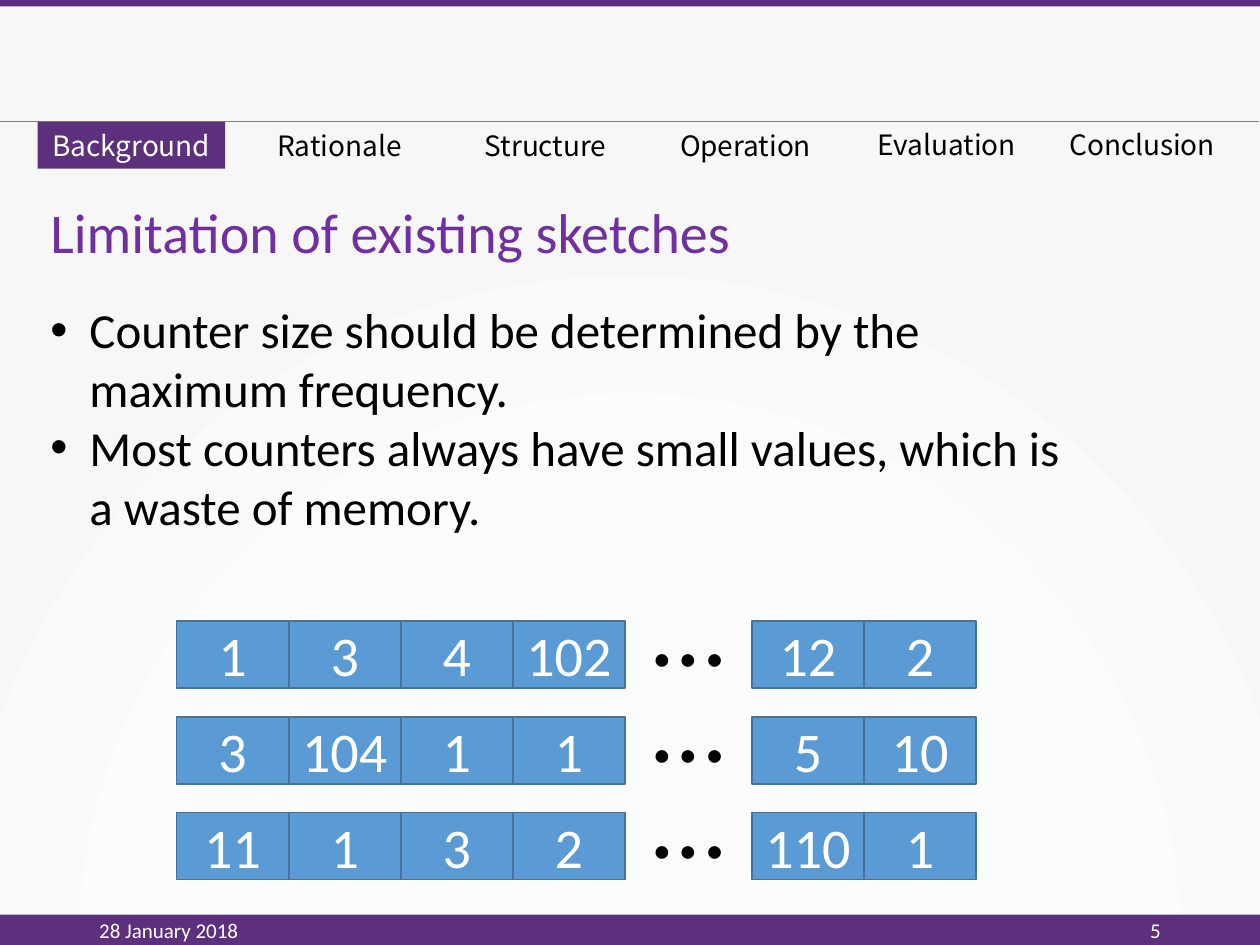
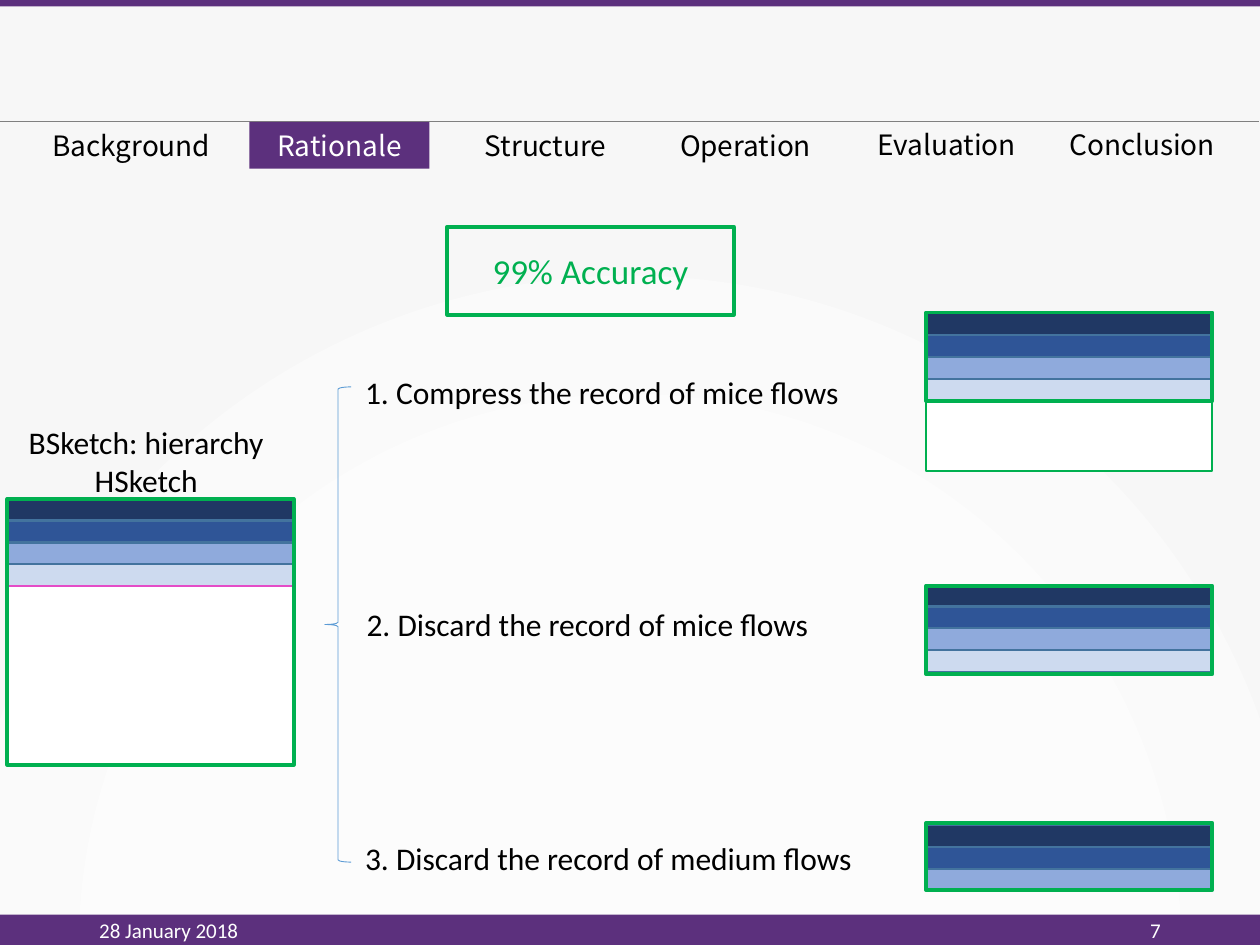
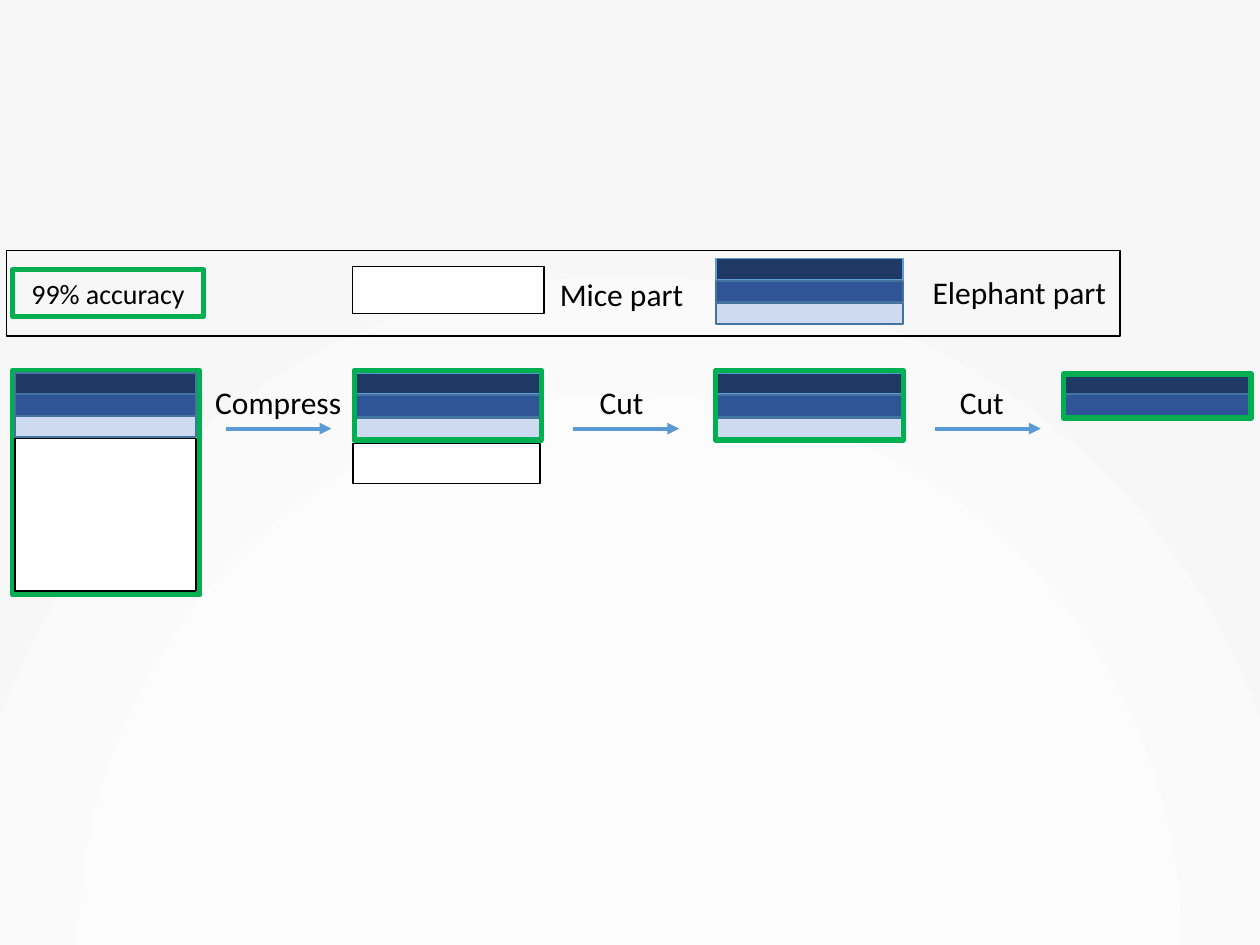
from dataclasses import dataclass
from typing import Optional

import lxml.etree
import pptx
import pptx.dml.color
import pptx.enum.shapes
import pptx.enum.text
import pptx.oxml.ns
import pptx.util

Cm = pptx.util.Cm
Pt = pptx.util.Pt
qn = pptx.oxml.ns.qn
Align = pptx.enum.text.PP_ALIGN
Anchor = pptx.enum.text.MSO_ANCHOR
AutoSize = pptx.enum.text.MSO_AUTO_SIZE
Preset = pptx.enum.shapes.MSO_SHAPE


@dataclass(frozen=True)
class Theme:
    band: str = "5C307D"
    title: str = "7030A0"
    rule: str = "808080"
    ink: str = "000000"
    paper: str = "FFFFFF"
    accent: str = "5B9BD5"
    edge: str = "43739E"
    accuracy: str = "00B050"
    pink: str = "E44CC7"
    layers: tuple = ("203864", "2F5597", "8FAADC", "CDDAEF")
    backdrop: tuple = ((0, "FFFFFF"), (55, "FCFCFC"), (100, "F7F7F7"))
    body_font: str = "Calibri"
    tab_font: str = "Noto Sans CJK SC"
    footer_size: int = 12
    tab_size: int = 16
    label_size: int = 18
    badge_size: int = 20
    list_size: int = 28
    title_size: int = 32
    dots_size: int = 60


THEME = Theme()
ELEPHANT = (THEME.layers[0], THEME.layers[1], THEME.layers[3])


@dataclass(frozen=True)
class Box:
    left: float
    top: float
    width: float
    height: float

    def lengths(self) -> tuple:
        return Cm(self.left), Cm(self.top), Cm(self.width), Cm(self.height)


@dataclass(frozen=True)
class Ink:
    size: int = THEME.label_size
    color: str = THEME.ink
    font: str = THEME.body_font


@dataclass(frozen=True)
class Tab:
    name: str
    box: Box


@dataclass(frozen=True)
class Stack:
    left: float
    top: float
    width: float
    pitch: float
    colors: tuple
    first_edge: str = THEME.edge


@dataclass(frozen=True)
class Label:
    text: str
    box: Box
    align: Align = Align.LEFT


TABS = (
    Tab("Background", Box(0.76, 2.46, 3.78, 0.94)),
    Tab("Rationale", Box(5.03, 2.46, 3.63, 0.94)),
    Tab("Structure", Box(9.5, 2.46, 3, 0.94)),
    Tab("Operation", Box(13.39, 2.46, 3.28, 0.94)),
    Tab("Evaluation", Box(17.42, 2.44, 3.33, 0.94)),
    Tab("Conclusion", Box(21.26, 2.44, 3.53, 0.94)),
)


def rgb(value: str) -> pptx.dml.color.RGBColor:
    return pptx.dml.color.RGBColor.from_string(value)


def write(paragraph, text: str, ink: Ink, align: Align = Align.LEFT) -> None:
    paragraph.alignment = align
    run = paragraph.add_run()
    run.text = text
    run.font.size = Pt(ink.size)
    run.font.name = ink.font
    run.font.color.rgb = rgb(ink.color)


def draw_shape(shapes, box: Box, fill: Optional[str] = None, line: Optional[str] = None,
               weight: float = 1, preset: Preset = Preset.RECTANGLE):
    shape = shapes.add_shape(preset, *box.lengths())
    shape.shadow.inherit = False
    if fill:
        shape.fill.solid()
        shape.fill.fore_color.rgb = rgb(fill)
    else:
        shape.fill.background()
    if line:
        shape.line.color.rgb = rgb(line)
        shape.line.width = Pt(weight)
    else:
        shape.line.fill.background()
    return shape


def center_text(shape, text: str, ink: Ink) -> None:
    frame = shape.text_frame
    frame.word_wrap = True
    frame.vertical_anchor = Anchor.MIDDLE
    write(frame.paragraphs[0], text, ink, Align.CENTER)


def draw_label(shapes, label: Label, ink: Ink = Ink(), wrap: bool = False):
    textbox = shapes.add_textbox(*label.box.lengths())
    frame = textbox.text_frame
    frame.word_wrap = wrap
    frame.auto_size = AutoSize.SHAPE_TO_FIT_TEXT
    write(frame.paragraphs[0], label.text, ink, label.align)
    return textbox


def draw_line(shapes, start: float, end: float, y: float, color: str,
              weight: float, arrow: bool = False) -> None:
    connector = shapes.add_connector(
        pptx.enum.shapes.MSO_CONNECTOR.STRAIGHT, Cm(start), Cm(y), Cm(end), Cm(y))
    connector.line.color.rgb = rgb(color)
    connector.line.width = Pt(weight)
    if arrow:
        outline = connector.element.spPr.find(qn("a:ln"))
        lxml.etree.SubElement(outline, qn("a:tailEnd"), type="triangle")
    lxml.etree.SubElement(connector.element.spPr, qn("a:effectLst"))


def draw_stack(shapes, stack: Stack) -> None:
    for index, color in enumerate(stack.colors):
        layer = Box(stack.left, stack.top + index * stack.pitch, stack.width, 0.43)
        draw_shape(shapes, layer, color, THEME.edge if index else stack.first_edge)


def set_backdrop(master) -> None:
    master.background.fill.gradient()
    gradient = master.element.find(".//" + qn("a:gradFill"))
    gradient.clear()
    stops = lxml.etree.SubElement(gradient, qn("a:gsLst"))
    for position, color in THEME.backdrop:
        stop = lxml.etree.SubElement(stops, qn("a:gs"), pos=str(position * 1000))
        lxml.etree.SubElement(stop, qn("a:srgbClr"), val=color)
    radial = lxml.etree.SubElement(gradient, qn("a:path"))
    radial.set("path", "circle")
    lxml.etree.SubElement(radial, qn("a:fillToRect"),
                          l="50000", t="130000", r="50000", b="-30000")


def draw_footer(shapes, text: str, left: float, align: Align) -> None:
    footer = shapes.add_textbox(*Box(left, 18.24, 5.72, 1.02).lengths())
    footer.text_frame.word_wrap = True
    footer.text_frame.vertical_anchor = Anchor.MIDDLE
    write(footer.text_frame.paragraphs[0], text, Ink(THEME.footer_size, THEME.paper), align)


def draw_furniture(shapes, number: str, active: str) -> None:
    draw_shape(shapes, Box(0, 0, 25.4, 0.13), THEME.band)
    draw_shape(shapes, Box(0, 18.44, 25.4, 0.61), THEME.band)
    draw_footer(shapes, "28 January 2018", 1.75, Align.LEFT)
    draw_footer(shapes, number, 17.93, Align.RIGHT)
    draw_line(shapes, -0.03, 25.37, 2.44, THEME.rule, 0.5)
    for tab in TABS:
        current = tab.name == active
        ink = Ink(THEME.tab_size, THEME.paper if current else THEME.ink, THEME.tab_font)
        label = draw_label(shapes, Label(tab.name, tab.box, Align.CENTER), ink,
                           wrap=tab.name == "Rationale")
        if current:
            label.fill.solid()
            label.fill.fore_color.rgb = rgb(THEME.band)


def place(placeholder, box: Box):
    placeholder.left, placeholder.top, placeholder.width, placeholder.height = box.lengths()
    frame = placeholder.text_frame
    frame.word_wrap = True
    frame.auto_size = AutoSize.NONE
    frame.vertical_anchor = Anchor.TOP
    return frame


def draw_counter_row(shapes, top: float, values: tuple) -> None:
    row = shapes.add_group_shape().shapes
    pitch = 2.26
    for index, value in enumerate(values):
        left = 3.56 + index * pitch if index < 4 else 15.16 + (index - 4) * pitch
        counter = draw_shape(row, Box(left, top, pitch, 1.35), THEME.accent, THEME.edge)
        center_text(counter, value, Ink(THEME.title_size, THEME.paper))
    draw_label(row, Label("…", Box(12.9, top - 1.32, 2.08, 2.82)),
               Ink(THEME.dots_size), wrap=True)


def build_limitation(deck) -> None:
    slide = deck.slides.add_slide(deck.slide_layouts[1])
    heading = place(slide.shapes.title, Box(0.76, 3.86, 22, 1.63))
    write(heading.paragraphs[0], "Limitation of existing sketches",
          Ink(THEME.title_size, THEME.title))
    points = place(slide.placeholders[1], Box(0.76, 5.92, 21, 5.05))
    for index, text in enumerate((
        "Counter size should be determined by the maximum frequency.",
        "Most counters always have small values, which is a waste of memory.",
    )):
        point = points.add_paragraph() if index else points.paragraphs[0]
        write(point, text, Ink(THEME.list_size))
        point.space_before = Pt(0)
        properties = point._p.get_or_add_pPr()
        properties.set("marL", str(Cm(0.79)))
        properties.set("indent", str(-Cm(0.79)))
        lxml.etree.SubElement(properties, qn("a:buFont"), typeface="Arial")
        lxml.etree.SubElement(properties, qn("a:buChar"), char="•")
    draw_furniture(slide.shapes, "5", "Background")
    for index, values in enumerate((
        ("1", "3", "4", "102", "12", "2"),
        ("3", "104", "1", "1", "5", "10"),
        ("11", "1", "3", "2", "110", "1"),
    )):
        draw_counter_row(slide.shapes, 12.52 + index * 1.93, values)


def build_rationale(deck) -> None:
    shapes = deck.slides.add_slide(deck.slide_layouts[6]).shapes
    draw_furniture(shapes, "7", "Rationale")
    width, left, right = 5.77, 0.15, 18.67
    for stack in (
        Stack(left, 10.06, width, 0.44, THEME.layers),
        Stack(right, 6.32, width, 0.44, THEME.layers),
        Stack(right, 11.79, width, 0.44, THEME.layers),
        Stack(right, 16.64, width, 0.44, THEME.layers[:3]),
    ):
        draw_stack(shapes, stack)
    draw_shape(shapes, Box(left, 11.81, width, 3.63), THEME.paper, THEME.pink)
    draw_shape(shapes, Box(right, 8.08, width, 1.42), THEME.paper, THEME.accuracy)
    caption = draw_label(shapes, Label("BSketch: hierarchy", Box(0.33, 8.41, 5.31, 1.8)))
    write(caption.text_frame.add_paragraph(), "HSketch", Ink(), Align.CENTER)
    draw_shape(shapes, Box(6.55, 7.8, 0.53, 9.58), None, THEME.accent, 0.5, Preset.LEFT_BRACE)
    for step in (
        Label("1. Compress the record of mice flows", Box(7.11, 7.39, 10.19, 1.02)),
        Label("2. Discard the record of mice flows", Box(7.14, 12.07, 9.53, 1.02)),
        Label("3. Discard the record of medium flows", Box(7.11, 16.79, 10.44, 1.02)),
    ):
        draw_label(shapes, step)
    for outline in (
        Box(left, 10.06, width, 5.36),
        Box(right, 6.3, width, 1.78),
        Box(right, 11.81, width, 1.78),
        Box(right, 16.59, width, 1.35),
    ):
        draw_shape(shapes, outline, None, THEME.accuracy, 2.25)
    badge = draw_shape(shapes, Box(9.02, 4.57, width, 1.78), None, THEME.accuracy, 2.25)
    center_text(badge, "99% Accuracy", Ink(THEME.badge_size, THEME.accuracy))


def build_compression(deck) -> None:
    shapes = deck.slides.add_slide(deck.slide_layouts[6]).shapes
    width, compressed, cut, final = 3.78, 7.14, 14.43, 21.44
    draw_shape(shapes, Box(0.13, 5.05, 22.45, 1.73), None, THEME.ink)
    draw_shape(shapes, Box(0.25, 7.47, width, 4.52), THEME.paper, THEME.accuracy, 3)
    for stack in (
        Stack(0.3, 7.52, 3.66, 0.43, ELEPHANT),
        Stack(compressed, 7.52, width, 0.45, ELEPHANT, THEME.accent),
        Stack(cut, 7.52, width, 0.45, ELEPHANT, THEME.accent),
        Stack(final, 7.52, width, 0.43, ELEPHANT[:2]),
        Stack(cut, 5.21, width, 0.45, ELEPHANT, THEME.accent),
    ):
        draw_stack(shapes, stack)
    for outline in (
        Box(compressed, 7.47, width, 1.4),
        Box(cut, 7.47, width, 1.4),
        Box(final, 7.54, width, 0.89),
    ):
        draw_shape(shapes, outline, None, THEME.accuracy, 3)
    for start in (4.55, 11.56, 18.85):
        draw_line(shapes, start, start + 2.13, 8.64, THEME.accent, 2.25, arrow=True)
    for label in (
        Label("Compress", Box(4.09, 7.59, 3.07, 1.02)),
        Label("Cut", Box(11.84, 7.59, 1.4, 1.02)),
        Label("Cut", Box(19.1, 7.59, 1.4, 1.02)),
        Label("Mice part", Box(11.02, 5.41, 3.02, 1.02), Align.CENTER),
        Label("Elephant part", Box(18.52, 5.38, 4.06, 1.02), Align.CENTER),
    ):
        draw_label(shapes, label)
    badge = draw_shape(shapes, Box(0.25, 5.44, 3.86, 0.94), None, THEME.accuracy, 3)
    center_text(badge, "99% accuracy", Ink(THEME.tab_size))
    for mice_part, weight in (
        (Box(7.11, 5.38, 3.86, 0.94), 0.75),
        (Box(7.11, 8.94, width, 0.81), 1),
        (Box(0.3, 8.84, 3.66, 3.07), 1),
    ):
        draw_shape(shapes, mice_part, THEME.paper, THEME.ink, weight)


def main() -> None:
    deck = pptx.Presentation()
    deck.slide_width, deck.slide_height = Cm(25.4), Cm(19.05)
    set_backdrop(deck.slide_master)
    build_limitation(deck)
    build_rationale(deck)
    build_compression(deck)
    deck.save("out.pptx")


main()
